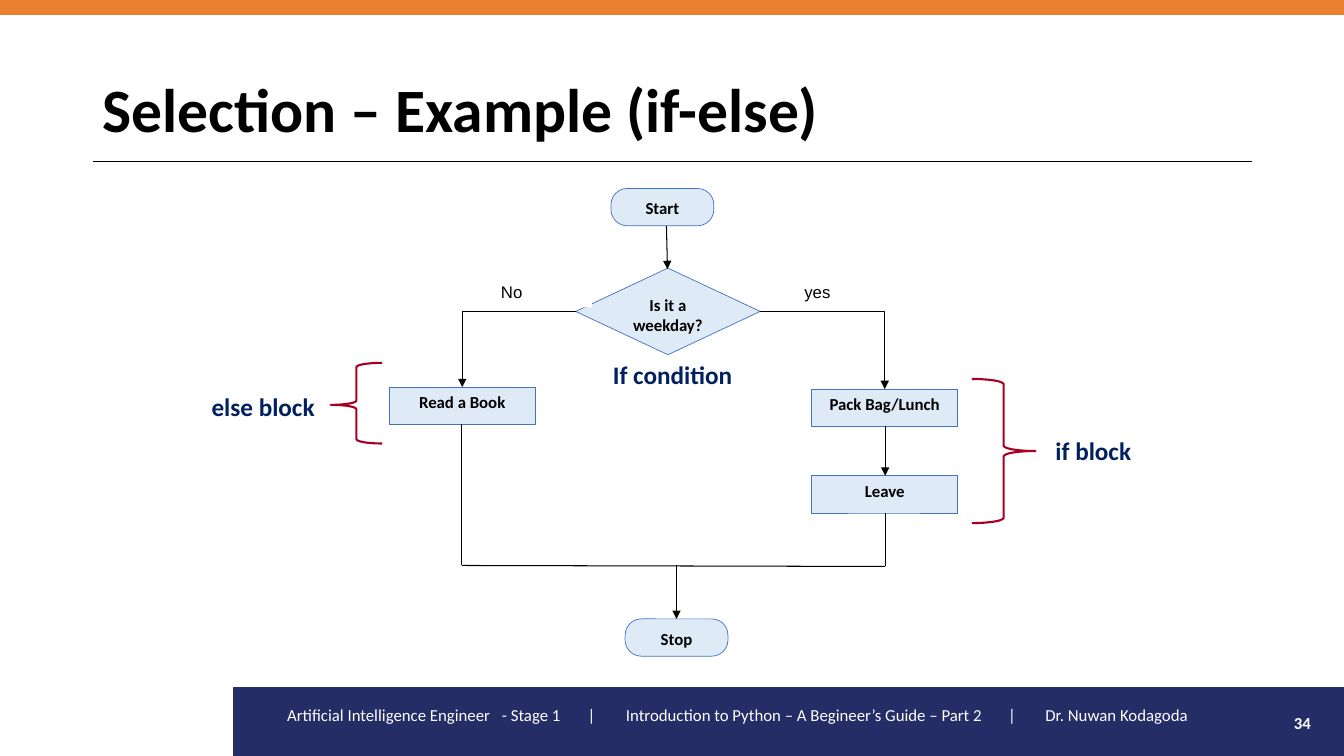
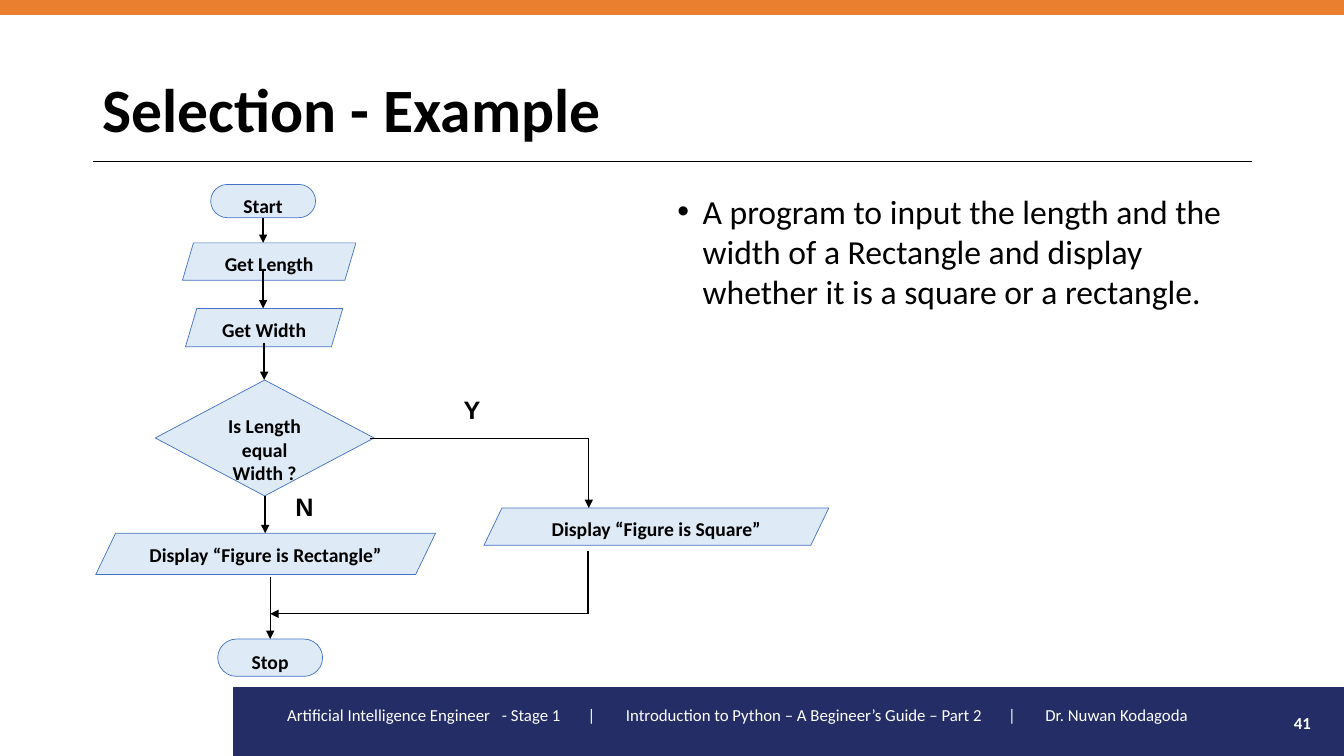
from dataclasses import dataclass
from typing import Optional

from lxml.etree import SubElement
from pptx import Presentation
from pptx.dml.color import RGBColor
from pptx.enum.shapes import MSO_CONNECTOR, MSO_SHAPE
from pptx.enum.text import MSO_ANCHOR, PP_ALIGN
from pptx.oxml.ns import qn
from pptx.util import Inches, Pt

COLORS = {
    "band": "242D66",
    "accent": "EA802F",
    "node": "DEEBF7",
    "outline": "4472C4",
    "brace": "A50021",
    "note": "002060",
    "ink": "000000",
    "paper": "FFFFFF",
}
FOOTER = (
    "Artificial Intelligence Engineer\t- Stage 1\t|\t"
    "Introduction to Python – A Begineer’s Guide – Part 2\t|\tDr. Nuwan Kodagoda"
)
FOOTER_TABS = (2.13, 2.98, 3.36, 7.15, 7.52)

Box = tuple[float, float, float, float]
Point = tuple[float, float]


@dataclass(frozen=True)
class TextStyle:
    size: float
    color: str = "ink"
    bold: bool = False
    font: str = "Calibri"
    align: PP_ALIGN = PP_ALIGN.LEFT
    anchor: MSO_ANCHOR = MSO_ANCHOR.TOP
    wrap: bool = True
    spacing: Optional[float] = None


@dataclass(frozen=True)
class Node:
    text: str
    box: Box
    kind: MSO_SHAPE = MSO_SHAPE.RECTANGLE
    bend: Optional[float] = None


@dataclass(frozen=True)
class Flow:
    start: Point
    end: Point
    weight: float = 0.5
    arrow: bool = True


@dataclass(frozen=True)
class Branch:
    source: str
    side: int
    target: str


@dataclass(frozen=True)
class Label:
    text: str
    box: Box
    style: TextStyle
    fill: Optional[str] = None


@dataclass(frozen=True)
class Brace:
    kind: MSO_SHAPE
    box: Box
    point: float


TITLE = TextStyle(44, bold=True, anchor=MSO_ANCHOR.MIDDLE, spacing=0.9)
FOOTER_STYLE = TextStyle(12, "paper")
NUMBER = TextStyle(12, "paper", True, align=PP_ALIGN.RIGHT, anchor=MSO_ANCHOR.MIDDLE)
BODY = TextStyle(24)
NODE_SMALL = TextStyle(12, bold=True, align=PP_ALIGN.CENTER)
NODE_LARGE = TextStyle(14, bold=True, align=PP_ALIGN.CENTER)
NOTE = TextStyle(18, "note", True, wrap=False)
ANSWER = TextStyle(12, font="Arial")
ANSWER_BOLD = TextStyle(18, bold=True, font="Arial", wrap=False)

ROUND = MSO_SHAPE.ROUNDED_RECTANGLE
SLANT = MSO_SHAPE.PARALLELOGRAM

WEEKDAY_NODES = (
    Node("Start", (6.06, 1.87, 1.02, 0.37), ROUND, 0.435),
    Node("Is it a weekday?", (5.71, 2.66, 1.83, 0.86), MSO_SHAPE.DIAMOND),
    Node("Read a Book", (3.86, 3.84, 1.45, 0.37)),
    Node("Pack Bag/Lunch", (8.05, 3.86, 1.45, 0.37)),
    Node("Leave", (8.05, 4.72, 1.45, 0.37)),
    Node("Stop", (6.2, 6.14, 1.02, 0.37), ROUND, 0.435),
)
WEEKDAY_FLOWS = (
    Flow((6.61, 2.24), (6.62, 2.67), 0.75),
    Flow((8.78, 4.23), (8.78, 4.72)),
    Flow((4.58, 4.21), (4.58, 5.61), arrow=False),
    Flow((8.78, 5.09), (8.78, 5.62), arrow=False),
    Flow((4.58, 5.61), (8.78, 5.62), 0.75, False),
    Flow((6.71, 5.61), (6.71, 6.14)),
)
WEEKDAY_BRANCHES = (
    Branch("Is it a weekday?", 1, "Read a Book"),
    Branch("Is it a weekday?", 3, "Pack Bag/Lunch"),
)
WEEKDAY_LABELS = (
    Label("No", (4.87, 2.75, 1, 0.3), ANSWER, "paper"),
    Label("yes", (7.88, 2.75, 1.17, 0.3), ANSWER, "paper"),
    Label("If condition", (5.98, 3.52, 1.4, 0.4), NOTE),
    Label("else block", (2, 3.83, 1.23, 0.4), NOTE),
    Label("if block", (10.37, 4.27, 0.96, 0.4), NOTE),
)
WEEKDAY_BRACES = (
    Brace(MSO_SHAPE.LEFT_BRACE, (3.28, 3.6, 0.51, 0.8), 0.521),
    Brace(MSO_SHAPE.RIGHT_BRACE, (9.64, 3.76, 0.63, 1.43), 0.5),
)

SQUARE_NODES = (
    Node("Start", (2.09, 1.83, 1.04, 0.33), ROUND, 0.5),
    Node("Get Length", (1.81, 2.41, 1.72, 0.37), SLANT, 0.294),
    Node("Get Width", (1.84, 3.06, 1.56, 0.38), SLANT, 0.295),
    Node("Is Length equal\nWidth ?", (1.54, 3.77, 2.17, 1.15),
         MSO_SHAPE.FLOWCHART_DECISION),
    Node("Display “Figure is Square”", (4.8, 5.04, 3.42, 0.37), SLANT, 0.481),
    Node("Display “Figure is Rectangle”", (0.95, 5.29, 3.37, 0.41), SLANT, 0.481),
    Node("Stop", (2.16, 6.34, 1.04, 0.37), ROUND, 0.5),
)
SQUARE_FLOWS = (
    Flow((2.61, 2.16), (2.61, 2.41), 1),
    Flow((2.61, 2.69), (2.61, 3.06), 1),
    Flow((2.62, 3.4), (2.62, 3.77), 1),
    Flow((2.63, 4.92), (2.63, 5.29), 1),
    Flow((3.67, 4.35), (5.84, 4.35), 0.75, False),
    Flow((5.84, 4.35), (5.84, 5.04), 1),
    Flow((5.83, 5.47), (5.83, 6.09), 1, False),
    Flow((5.83, 6.09), (2.68, 6.09), 0.75),
    Flow((2.68, 5.72), (2.68, 6.34), 1),
)
SQUARE_LABELS = (
    Label("Y", (4.5, 3.86, 0.37, 0.4), ANSWER_BOLD, "paper"),
    Label("N", (2.83, 4.83, 0.38, 0.4), ANSWER_BOLD, "paper"),
)


def rgb(name: str) -> RGBColor:
    return RGBColor.from_string(COLORS[name])


def lengths(values: tuple[float, ...]) -> list[Inches]:
    return [Inches(value) for value in values]


def write(frame, text: str, style: TextStyle) -> None:
    frame.word_wrap = style.wrap
    frame.vertical_anchor = style.anchor
    for index, line in enumerate(text.split("\n")):
        paragraph = frame.add_paragraph() if index else frame.paragraphs[0]
        paragraph.alignment = style.align
        if style.spacing:
            paragraph.line_spacing = style.spacing
        run = paragraph.add_run()
        run.text = line
        run.font.size = Pt(style.size)
        run.font.name = style.font
        run.font.bold = style.bold
        run.font.color.rgb = rgb(style.color)


def add_text(slide, label: Label):
    area = slide.shapes.add_textbox(*lengths(label.box))
    if label.fill:
        area.fill.solid()
        area.fill.fore_color.rgb = rgb(label.fill)
    write(area.text_frame, label.text, label.style)
    return area


def add_outline(slide, kind: MSO_SHAPE, box: Box, fill: Optional[str],
                line: str, weight: float):
    outline = slide.shapes.add_shape(kind, *lengths(box))
    outline.shadow.inherit = False
    if fill:
        outline.fill.solid()
        outline.fill.fore_color.rgb = rgb(fill)
    else:
        outline.fill.background()
    outline.line.color.rgb = rgb(line)
    outline.line.width = Pt(weight)
    return outline


def add_node(slide, node: Node, style: TextStyle):
    step = add_outline(slide, node.kind, node.box, "node", "outline", 0.5)
    if node.bend is not None:
        step.adjustments[0] = node.bend
    write(step.text_frame, node.text, style)
    return step


def add_brace(slide, brace: Brace) -> None:
    curve = add_outline(slide, brace.kind, brace.box, None, "brace", 1.5)
    curve.adjustments[0] = 0.083
    curve.adjustments[1] = brace.point


def add_flow(slide, flow: Flow, kind: MSO_CONNECTOR = MSO_CONNECTOR.STRAIGHT):
    link = slide.shapes.add_connector(kind, *lengths(flow.start + flow.end))
    link.line.color.rgb = rgb("ink")
    link.line.width = Pt(flow.weight)
    properties = link._element.spPr
    if flow.arrow:
        SubElement(properties.find(qn("a:ln")), qn("a:tailEnd"), type="triangle")
    SubElement(properties, qn("a:effectLst"))
    return link


def add_branch(slide, branch: Branch, steps: dict) -> None:
    source, target = steps[branch.source], steps[branch.target]
    edge = source.left + (source.width if branch.side == 3 else 0)
    start = (edge / Inches(1), (source.top + source.height / 2) / Inches(1))
    end = ((target.left + target.width / 2) / Inches(1), target.top / Inches(1))
    link = add_flow(slide, Flow(start, end), MSO_CONNECTOR.ELBOW)
    link._element.spPr.find(qn("a:prstGeom")).set("prst", "bentConnector2")
    link.begin_connect(source, branch.side)
    link.end_connect(target, 0)


def add_flowchart(slide, nodes: tuple[Node, ...], style: TextStyle,
                  flows: tuple[Flow, ...], labels: tuple[Label, ...],
                  branches: tuple[Branch, ...] = ()) -> None:
    steps = {node.text: add_node(slide, node, style) for node in nodes}
    for flow in flows:
        add_flow(slide, flow)
    for label in labels:
        add_text(slide, label)
    for branch in branches:
        add_branch(slide, branch, steps)


def add_base(deck, title: str, number: str):
    slide = deck.slides.add_slide(deck.slide_layouts[6])
    for color, box in (("band", (2.32, 6.82, 11.01, 0.68)),
                       ("accent", (0, 0, 13.33, 0.14))):
        add_outline(slide, MSO_SHAPE.RECTANGLE, box, color, color, 1)
    add_flow(slide, Flow((0.92, 1.6), (12.42, 1.6), 1, False))
    footer = add_text(slide, Label(FOOTER, (2.75, 6.94, 9.51, 0.4), FOOTER_STYLE))
    settings = footer.text_frame.paragraphs[0]._p.get_or_add_pPr()
    stops = SubElement(settings, qn("a:tabLst"))
    for stop in FOOTER_TABS:
        SubElement(stops, qn("a:tab"), pos=str(Inches(stop)), algn="l")
    add_text(slide, Label(title, (0.92, 0.39, 11.5, 1.45), TITLE))
    add_text(slide, Label(number, (12.42, 6.97, 0.68, 0.4), NUMBER))
    return slide


def add_bullet(slide, text: str, box: Box) -> None:
    task = add_text(slide, Label(text, box, BODY))
    settings = task.text_frame.paragraphs[0]._p.get_or_add_pPr()
    settings.set("marL", str(Inches(0.25)))
    settings.set("indent", str(-Inches(0.25)))
    SubElement(settings, qn("a:buFont"), typeface="Arial")
    SubElement(settings, qn("a:buChar"), char="•")


def main() -> None:
    deck = Presentation()
    deck.slide_width, deck.slide_height = Inches(13.33), Inches(7.5)

    weekday = add_base(deck, "Selection – Example (if-else)", "34")
    add_flowchart(weekday, WEEKDAY_NODES, NODE_SMALL, WEEKDAY_FLOWS,
                  WEEKDAY_LABELS, WEEKDAY_BRANCHES)
    for brace in WEEKDAY_BRACES:
        add_brace(weekday, brace)

    square = add_base(deck, "Selection - Example", "41")
    add_bullet(square, "A program to input the length and the width of a Rectangle "
               "and display whether it is a square or a rectangle.",
               (6.62, 1.84, 5.81, 4.76))
    add_flowchart(square, SQUARE_NODES, NODE_LARGE, SQUARE_FLOWS, SQUARE_LABELS)

    deck.save("out.pptx")


if __name__ == "__main__":
    main()
